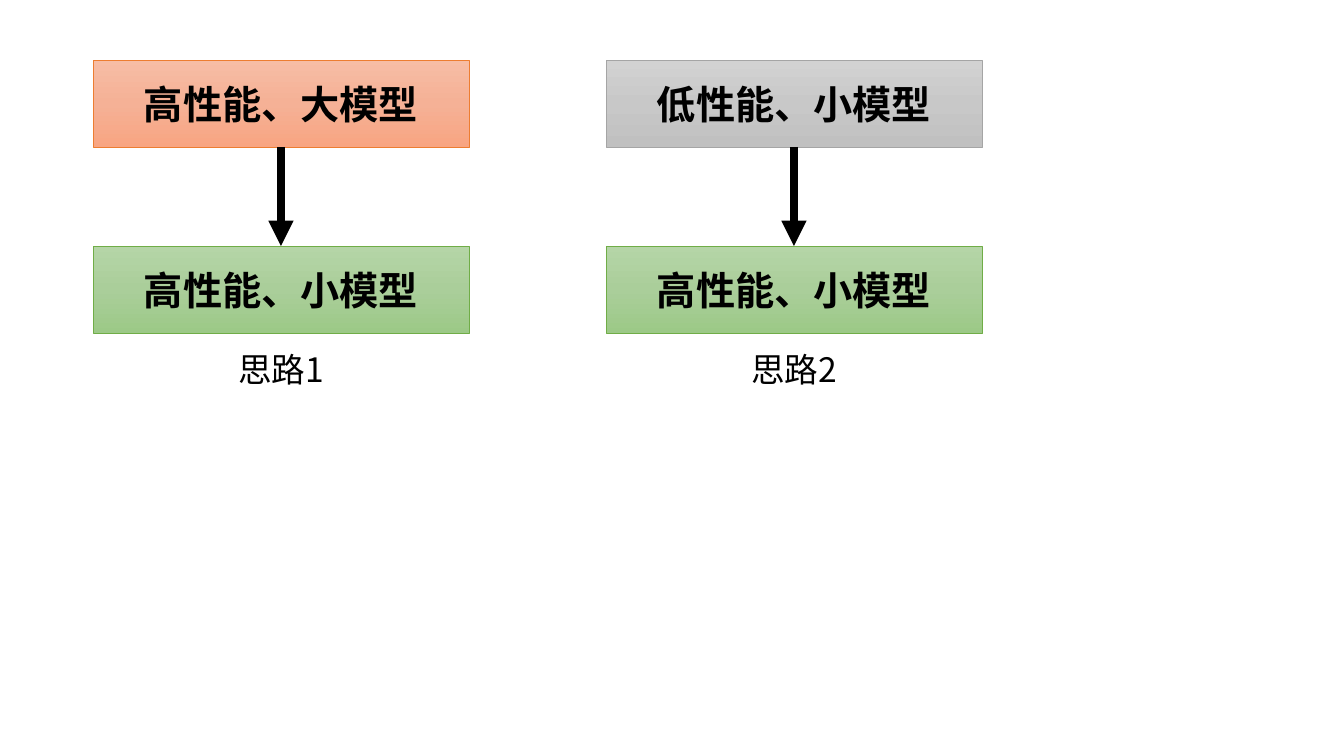
import copy
from dataclasses import dataclass

import pptx
import pptx.dml.color
import pptx.enum.shapes
import pptx.enum.text
import pptx.oxml
import pptx.oxml.ns
import pptx.util

RGBColor = pptx.dml.color.RGBColor
qn = pptx.oxml.ns.qn

EMU_PER_PIXEL = 914400 / 100.8
FONT = "Noto Sans CJK SC"
BLACK = RGBColor(0x00, 0x00, 0x00)

BOX_WIDTH, BOX_HEIGHT = 376, 87
START_TOP, GOAL_TOP = 60, 246
CAPTION_TOP, CAPTION_WIDTH, CAPTION_HEIGHT = 344, 204, 50


@dataclass(frozen=True)
class BoxStyle:
    """Outline colour and the gradient from top to bottom."""
    line: RGBColor
    gradient: tuple[RGBColor, RGBColor, RGBColor]


@dataclass(frozen=True)
class Approach:
    """One column: a starting model that leads to the goal model."""
    left: int
    start_text: str
    start_style: BoxStyle
    caption: str


ORANGE = BoxStyle(RGBColor(0xED, 0x7D, 0x31), (
    RGBColor(0xF7, 0xBD, 0xA5), RGBColor(0xF5, 0xB1, 0x96), RGBColor(0xF8, 0xA5, 0x82)))
GRAY = BoxStyle(RGBColor(0xA5, 0xA5, 0xA5), (
    RGBColor(0xD2, 0xD2, 0xD2), RGBColor(0xC8, 0xC8, 0xC8), RGBColor(0xC0, 0xC0, 0xC0)))
GREEN = BoxStyle(RGBColor(0x70, 0xAD, 0x47), (
    RGBColor(0xB5, 0xD5, 0xA7), RGBColor(0xAA, 0xCE, 0x9A), RGBColor(0x9C, 0xC9, 0x87)))

GOAL_TEXT = "高性能、小模型"
APPROACHES = (
    Approach(93, "高性能、大模型", ORANGE, "思路1"),
    Approach(606, "低性能、小模型", GRAY, "思路2"),
)


def px(pixels: float) -> pptx.util.Emu:
    """Turn pixels into EMU."""
    return pptx.util.Emu(round(pixels * EMU_PER_PIXEL))


def write_text(shape, text: str, size: int, bold: bool) -> None:
    """Put one centred black line of text into a shape."""
    text_frame = shape.text_frame
    text_frame.text = text
    text_frame.word_wrap = True
    paragraph = text_frame.paragraphs[0]
    paragraph.alignment = pptx.enum.text.PP_ALIGN.CENTER
    font = paragraph.runs[0].font
    font.name, font.size, font.bold = FONT, pptx.util.Pt(size), bold
    font.color.rgb = BLACK
    east_asian = pptx.oxml.parse_xml(
        f'<a:ea {pptx.oxml.ns.nsdecls("a")} typeface="{FONT}"/>')
    font._element.find(qn("a:latin")).addnext(east_asian)


def fill_gradient(shape, colors: tuple[RGBColor, RGBColor, RGBColor]) -> None:
    """Fill a shape with three evenly spaced stops running downwards."""
    shape.fill.gradient()
    shape.fill.gradient_angle = 270
    first_stop = next(shape._element.spPr.iter(qn("a:gs")))
    first_stop.addnext(copy.deepcopy(first_stop))
    for stop, color, position in zip(shape.fill.gradient_stops, colors, (0, 0.5, 1)):
        stop.color.rgb = color
        stop.position = position


def add_box(slide, left: int, top: int, text: str, style: BoxStyle) -> None:
    """Draw a model box."""
    shape = slide.shapes.add_shape(
        pptx.enum.shapes.MSO_SHAPE.RECTANGLE,
        px(left), px(top), px(BOX_WIDTH), px(BOX_HEIGHT))
    shape.shadow.inherit = False
    fill_gradient(shape, style.gradient)
    shape.line.color.rgb = style.line
    shape.line.width = pptx.util.Pt(0.5)
    shape.text_frame.vertical_anchor = pptx.enum.text.MSO_ANCHOR.MIDDLE
    write_text(shape, text, 28, True)


def add_down_arrow(slide, x: int, top: int, bottom: int) -> None:
    """Draw a thick vertical arrow pointing down."""
    connector = slide.shapes.add_connector(
        pptx.enum.shapes.MSO_CONNECTOR.STRAIGHT, px(x), px(top), px(x), px(bottom))
    connector.line.color.rgb = BLACK
    connector.line.width = pptx.util.Pt(6)
    namespace = pptx.oxml.ns.nsdecls("a")
    connector.line._get_or_add_ln().append(
        pptx.oxml.parse_xml(f'<a:tailEnd {namespace} type="triangle"/>'))
    connector._element.spPr.append(pptx.oxml.parse_xml(f"<a:effectLst {namespace}/>"))


def add_caption(slide, center: int, text: str) -> None:
    """Write the caption centred under a column."""
    caption = slide.shapes.add_textbox(
        px(center - CAPTION_WIDTH // 2), px(CAPTION_TOP),
        px(CAPTION_WIDTH), px(CAPTION_HEIGHT))
    write_text(caption, text, 24, False)
    caption.text_frame.auto_size = pptx.enum.text.MSO_AUTO_SIZE.SHAPE_TO_FIT_TEXT


def add_approach(slide, approach: Approach) -> None:
    """Draw one column with its two boxes, arrow and caption."""
    center = approach.left + BOX_WIDTH // 2
    add_box(slide, approach.left, START_TOP, approach.start_text, approach.start_style)
    add_box(slide, approach.left, GOAL_TOP, GOAL_TEXT, GREEN)
    add_down_arrow(slide, center, START_TOP + BOX_HEIGHT, GOAL_TOP)
    add_caption(slide, center, approach.caption)


presentation = pptx.Presentation()
presentation.slide_width, presentation.slide_height = px(1344), px(756)
model_slide = presentation.slides.add_slide(presentation.slide_layouts[6])
for model_approach in APPROACHES:
    add_approach(model_slide, model_approach)
presentation.save("out.pptx")
